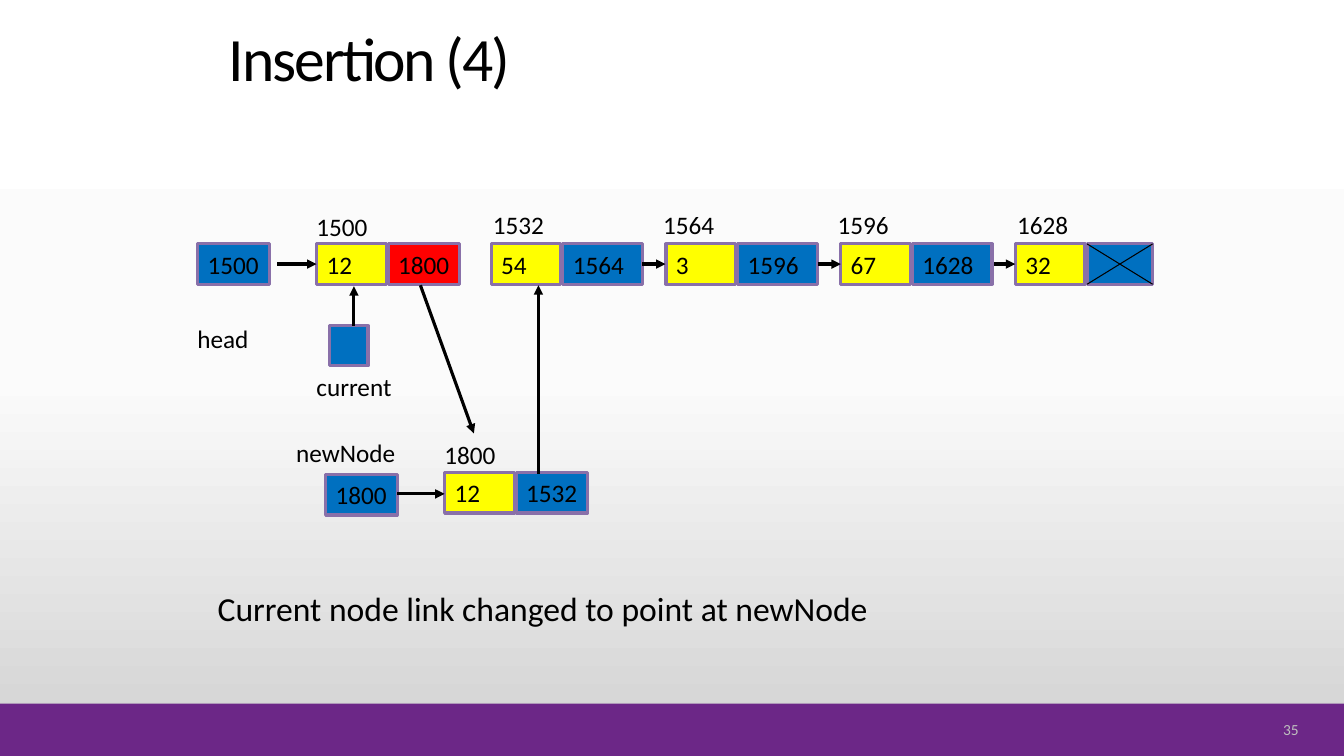
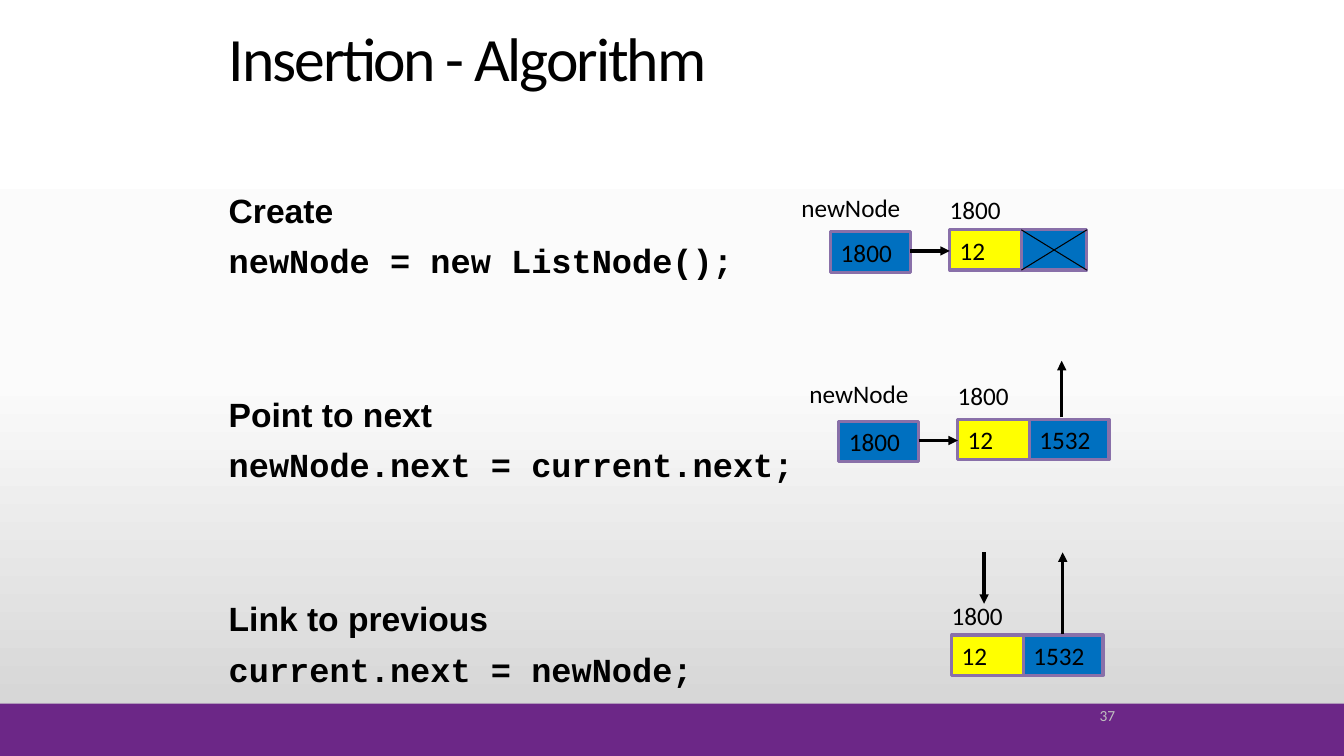
"""Build two slides on inserting a node into a linked list."""
import lxml.etree
import pptx
import pptx.dml.color
import pptx.enum.shapes
import pptx.enum.text
import pptx.oxml.ns
import pptx.util

Inches = pptx.util.Inches
Pt = pptx.util.Pt
qn = pptx.oxml.ns.qn
ALIGN = pptx.enum.text.PP_ALIGN
ANCHOR = pptx.enum.text.MSO_ANCHOR

BLACK, GREY, PURPLE, EDGE = "000000", "BFBFBF", "6C2787", "8970A9"
YELLOW, BLUE, RED = "FFFF00", "0070C0", "FF0000"
STOPS = [(0, "FFFFFF"), (50, "FBFBFB"), (100, "D1D1D1")]
HIGH = 0.4
GAP = 0.71

TOP = 2.42
CHAIN = [
    ("1500", 3.04, 2.05, "12", "1800", 0.71, RED),
    ("1532", 4.79, 2.03, "54", "1564", 0.79, BLUE),
    ("1564", 6.48, 2.03, "3", "1596", 0.79, BLUE),
    ("1596", 8.21, 2.03, "67", "1628", 0.79, BLUE),
    ("1628", 9.99, 2.03, "32", None, 0.65, BLUE),
]
HOPS = [
    (2.75, 2.62, 3.14, 2.62),
    (6.37, 2.62, 6.6, 2.62),
    (8.11, 2.62, 8.34, 2.62),
    (9.86, 2.62, 10.07, 2.62),
    (3.51, 3.23, 3.51, 2.84),
    (5.34, 4.7, 5.34, 2.83),
    (4.17, 2.83, 4.7, 4.3),
]
STEPS = [
    ("Create", "newNode = new ListNode();"),
    ("Point to next", "newNode.next = current.next;"),
    ("Link to previous", "current.next = newNode;"),
]
STAGES = [
    (9.42, 2.28, None, 0.4, True),
    (9.5, 4.16, "1532", 0.44, True),
    (9.44, 6.3, "1532", 0.39, False),
]
LINKS = [
    (10.53, 4.14, 10.53, 3.58),
    (10.54, 6.29, 10.54, 5.48),
    (9.76, 5.48, 9.76, 5.99),
]


def color(code):
    return pptx.dml.color.RGBColor.from_string(code)


def style(para, size, code=BLACK, face="Calibri", bold=False):
    font = para.font
    font.size, font.name, font.bold = Pt(size), face, bold
    font.color.rgb = color(code)


def rect(page, x, y, w, h, fill, edge=None):
    kind = pptx.enum.shapes.MSO_SHAPE.RECTANGLE
    shape = page.shapes.add_shape(kind, *map(Inches, (x, y, w, h)))
    shape.shadow.inherit = False
    shape.fill.solid()
    shape.fill.fore_color.rgb = color(fill)
    if edge:
        shape.line.color.rgb = color(edge)
        shape.line.width = Pt(2.25)
    else:
        shape.line.fill.background()
    return shape


def write(shape, text, size=18, code=BLACK, anchor=ANCHOR.MIDDLE, align=ALIGN.LEFT):
    frame = shape.text_frame
    frame.word_wrap = True
    frame.vertical_anchor = anchor
    para = frame.paragraphs[0]
    para.text = text
    para.alignment = align
    style(para, size, code)
    return para


def area(page, x, y, w, h):
    return page.shapes.add_textbox(*map(Inches, (x, y, w, h)))


def label(page, x, y, text):
    write(area(page, x, y, 1.2, HIGH), text)


def cell(page, x, y, w, fill, text=None):
    shape = rect(page, x, y, w, HIGH, fill, EDGE)
    if text:
        shape.text_frame.margin_right = 0
        write(shape, text)


def line(page, ends, width=2.25, head=True):
    kind = pptx.enum.shapes.MSO_CONNECTOR.STRAIGHT
    link = page.shapes.add_connector(kind, *map(Inches, ends))
    link.line.color.rgb = color(BLACK)
    link.line.width = Pt(width)
    if head:
        lxml.etree.SubElement(link.line._get_or_add_ln(), qn("a:tailEnd"), type="triangle")
    lxml.etree.SubElement(link._element.spPr, qn("a:effectLst"))


def node(page, x, y, value, link, wide, size, fill=BLUE):
    cell(page, x, y, wide, YELLOW, value)
    left = x + GAP
    cell(page, left, y, size, fill, link)
    if link is None:
        for a, b in ((y, y + HIGH), (y + HIGH, y)):
            line(page, (left, a, left + size, b), 0.75, False)


def fresh(page, x, y, link, rise, named, wide, size):
    node(page, x, y, "12", link, wide, size if link else 0.65)
    label(page, x - 0.1, y - rise, "1800")
    if named:
        left = x - 1.18
        cell(page, left, y + 0.02, size, BLUE, "1800")
        line(page, (left + size, y + 0.21, x, y + 0.21))
        label(page, x - 1.57, y - rise - 0.02, "newNode")


def paint(deck):
    master = deck.slide_master
    fill = master.background.fill
    fill.gradient()
    fill.gradient_angle = 270
    stops = master._element.xpath("./p:cSld/p:bg//a:gsLst")[0]
    for old in list(stops):
        stops.remove(old)
    for pos, code in STOPS:
        stop = lxml.etree.SubElement(stops, qn("a:gs"), pos=str(pos * 1000))
        lxml.etree.SubElement(stop, qn("a:srgbClr"), val=code)


def start(deck, title, number, spot):
    page = deck.slides.add_slide(deck.slide_layouts[6])
    rect(page, 0, 6.98, 13.33, 0.52, PURPLE)
    para = write(area(page, 2.17, 0.13, 8.25, 0.86), title, 44, anchor=ANCHOR.BOTTOM)
    para.line_spacing = 0.9
    para.runs[0]._r.get_or_add_rPr().set("spc", "-150")
    write(area(page, *spot), number, 11, GREY, align=ALIGN.RIGHT)
    return page


def insert(deck):
    page = start(deck, "Insertion (4)", "35", (12.23, 7.12, 0.75, 0.23))
    cell(page, 1.96, TOP, 0.71, BLUE, "1500")
    label(page, 1.86, 3.16, "head")
    for i, (tag, x, y, value, link, size, fill) in enumerate(CHAIN):
        node(page, 3.14 + 1.733 * i, TOP, value, link, 0.69, size, fill)
        label(page, x, y, tag)
    cell(page, 3.27, 3.23, 0.38, BLUE)
    label(page, 3.04, 3.63, "current")
    fresh(page, 4.41, 4.69, "1532", 0.38, True, 0.69, 0.71)
    for ends in HOPS:
        line(page, ends)
    write(area(page, 2.06, 5.78, 7.89, 0.5), "Current node link changed to point at newNode", 24)


def steps(deck):
    page = start(deck, "Insertion - Algorithm", "37", (8.83, 6.83, 2.33, 0.53))
    frame = area(page, 2.17, 1.88, 9, 5.18).text_frame
    frame.word_wrap = True
    for i, pair in enumerate(STEPS):
        for j, (text, face) in enumerate(zip(pair, ("Arial", "Courier New"))):
            first = i == j == 0
            para = frame.paragraphs[0] if first else frame.add_paragraph()
            para.text = text
            para.line_spacing = 0.9
            if not first:
                para.space_before = Pt(10 if j else 84)
            style(para, 24, face=face, bold=True)
    for stage in STAGES:
        fresh(page, *stage, 0.76, 0.79)
    for ends in LINKS:
        line(page, ends)


def main():
    deck = pptx.Presentation()
    deck.slide_width, deck.slide_height = Inches(13.33), Inches(7.5)
    paint(deck)
    insert(deck)
    steps(deck)
    deck.save("out.pptx")


if __name__ == "__main__":
    main()
